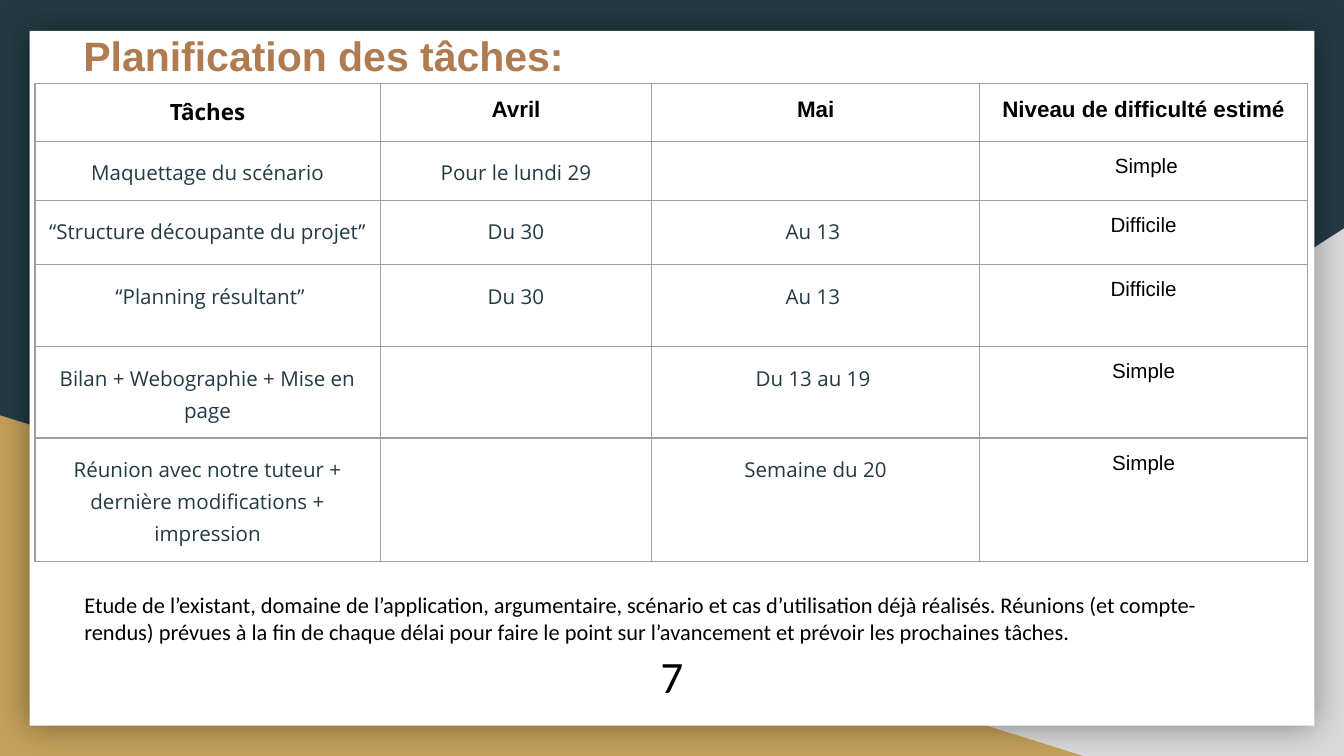
from lxml.etree import SubElement
from pptx import Presentation
from pptx.dml.color import RGBColor
from pptx.enum.shapes import MSO_SHAPE as Shape
from pptx.enum.text import MSO_ANCHOR as Anchor, PP_ALIGN as Align
from pptx.oxml import parse_xml
from pptx.oxml.ns import nsdecls, qn
from pptx.util import Inches, Pt

WIDTH = 10
HEIGHT = WIDTH * 9 / 16
NAVY = RGBColor(0x23, 0x3A, 0x44)
GOLD = RGBColor(0xC4, 0xA1, 0x5A)
GREY = RGBColor(0xD9, 0xD9, 0xD9)
BROWN = RGBColor(0xAF, 0x7B, 0x51)
BORDER = RGBColor(0x9E, 0x9E, 0x9E)
WHITE = RGBColor(0xFF, 0xFF, 0xFF)
BLACK = RGBColor(0, 0, 0)

TITLE = "Planification des tâches:"
HEADERS = ["Tâches", "Avril", "Mai", "Niveau de difficulté estimé"]
TASKS = [
    ("Maquettage du scénario", "Pour le lundi 29", "", " Simple"),
    ("“Structure découpante du projet”", "Du 30", "Au 13 ", "Difficile"),
    (" “Planning résultant”", "Du 30", "Au 13 ", "Difficile"),
    ("Bilan + Webographie + Mise en page", "", "Du 13 au 19 ", "Simple"),
    ("Réunion avec notre tuteur + dernière modifications + impression",
     "", "Semaine du 20", "Simple"),
]
NOTE = ("Etude de l’existant, domaine de l’application, argumentaire, scénario et cas "
        "d’utilisation déjà réalisés. Réunions (et compte-rendus) prévues à la fin de chaque "
        "délai pour faire le point sur l’avancement et prévoir les prochaines tâches.")
PAGE_NUMBER = "7"
COLUMNS = [2.57, 2.02, 2.44, 2.44]
ROWS = [0.43, 0.44, 0.48, 0.61, 0.68, 0.92]
BACKDROP = [
    (Shape.RIGHT_TRIANGLE, (3.92, 1.7, WIDTH - 3.92, HEIGHT - 1.7), GREY, True),
    (Shape.RIGHT_TRIANGLE, (0, 3.09, 8.06, HEIGHT - 3.09), GOLD, False),
    (Shape.RECTANGLE, (0.22, 0.23, 9.56, 5.17), WHITE, False),
]


def inches(values):
    return [Inches(value) for value in values]


def write(frame, text, size=12, font="Calibri", color=BLACK, bold=False,
          align=Align.LEFT, spacing=None, after=None):
    frame.word_wrap = True
    para = frame.paragraphs[0]
    para.alignment = align
    if spacing:
        para.line_spacing = spacing
    if after:
        para.space_after = Pt(after)
    if not text:
        SubElement(para._p, qn("a:endParaRPr"), sz=str(size * 100))
        return
    span = para.add_run()
    span.text = text
    span.font.size = Pt(size)
    span.font.name = font
    span.font.bold = bold
    span.font.color.rgb = color


def set_insets(frame, anchor):
    frame.margin_left = frame.margin_right = Inches(0.1)
    frame.margin_top = frame.margin_bottom = Inches(0.1)
    frame.vertical_anchor = anchor


def add_text(page, bounds, text, **style):
    box = page.shapes.add_textbox(*inches(bounds))
    set_insets(box.text_frame, Anchor.TOP)
    write(box.text_frame, text, **style)


def format_cell(cell):
    cell.margin_left = cell.margin_right = Inches(0.1)
    cell.margin_top = cell.margin_bottom = Inches(0.1)
    cell.fill.background()
    properties = cell._tc.get_or_add_tcPr()
    for index, side in enumerate("LRTB"):
        properties.insert(index, parse_xml(
            f'<a:ln{side} {nsdecls("a")} w="{Pt(0.75)}"><a:solidFill>'
            f'<a:srgbClr val="{BORDER}"/></a:solidFill></a:ln{side}>'))


deck = Presentation()
deck.slide_width, deck.slide_height = inches((WIDTH, HEIGHT))
page = deck.slides.add_slide(deck.slide_layouts[5])
page.background.fill.solid()
page.background.fill.fore_color.rgb = NAVY

for kind, bounds, color, flipped in BACKDROP:
    panel = page.shapes.add_shape(kind, *inches(bounds))
    panel.shadow.inherit = False
    panel.fill.solid()
    panel.fill.fore_color.rgb = color
    panel.line.fill.background()
    if flipped:
        panel._element.spPr.find(qn("a:xfrm")).set("flipH", "1")

effects = panel._element.spPr.find(qn("a:effectLst"))
effects.append(parse_xml(
    f'<a:outerShdw {nsdecls("a")} blurRad="{Pt(18)}" dist="0" dir="0" algn="ctr" '
    f'rotWithShape="0"><a:srgbClr val="{BLACK}"><a:alpha val="40000"/></a:srgbClr></a:outerShdw>'))

title = page.shapes.title
panel._element.addnext(title._element)
title.left, title.top, title.width, title.height = inches((0.52, 0.12, 8.21, 0.57))
set_insets(title.text_frame, Anchor.BOTTOM)
write(title.text_frame, TITLE, size=22, font="Arial", color=BROWN, bold=True)

add_text(page, (0.42, 4.73, 9.16, 0.52), PAGE_NUMBER, size=24, align=Align.CENTER)

planning = page.shapes.add_table(
    len(ROWS), len(COLUMNS), *inches((0.26, 0.62, sum(COLUMNS), sum(ROWS)))).table
planning.first_row = planning.horz_banding = False
for column, width in zip(planning.columns, COLUMNS):
    column.width = Inches(width)
for row, height in zip(planning.rows, ROWS):
    row.height = Inches(height)

HEADER = dict(size=12, bold=True)
TASK = dict(size=11, font="Open Sans", color=NAVY, spacing=1.15, after=16)
LEVEL = dict(size=11, font="Arial")
for r, texts in enumerate([HEADERS, *TASKS]):
    for c, text in enumerate(texts):
        cell = planning.cell(r, c)
        format_cell(cell)
        if r == 0:
            style = dict(HEADER, font="Arial" if c else "Open Sans")
        else:
            style = LEVEL if c == len(COLUMNS) - 1 else TASK
        write(cell.text_frame, text, align=Align.CENTER, **style)

add_text(page, (0.53, 4.3, 8.94, 0.46), NOTE)

deck.save("out.pptx")
